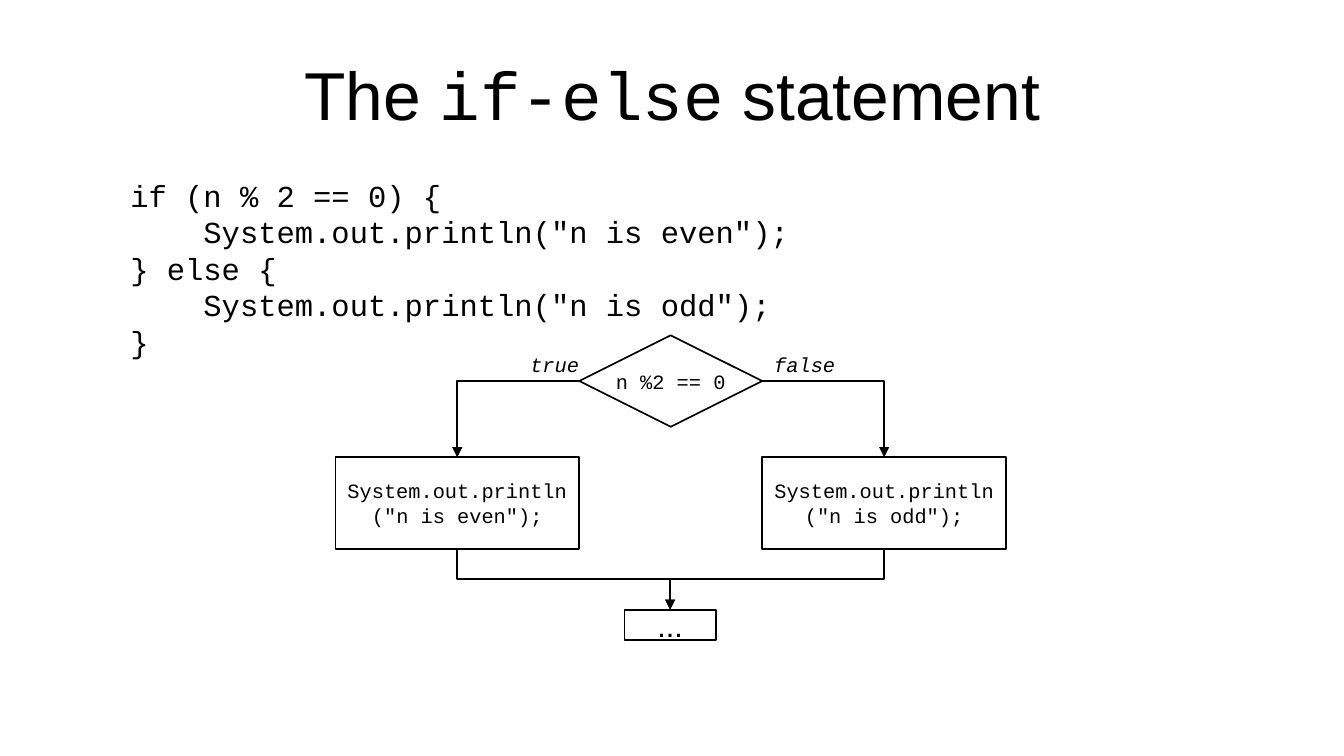
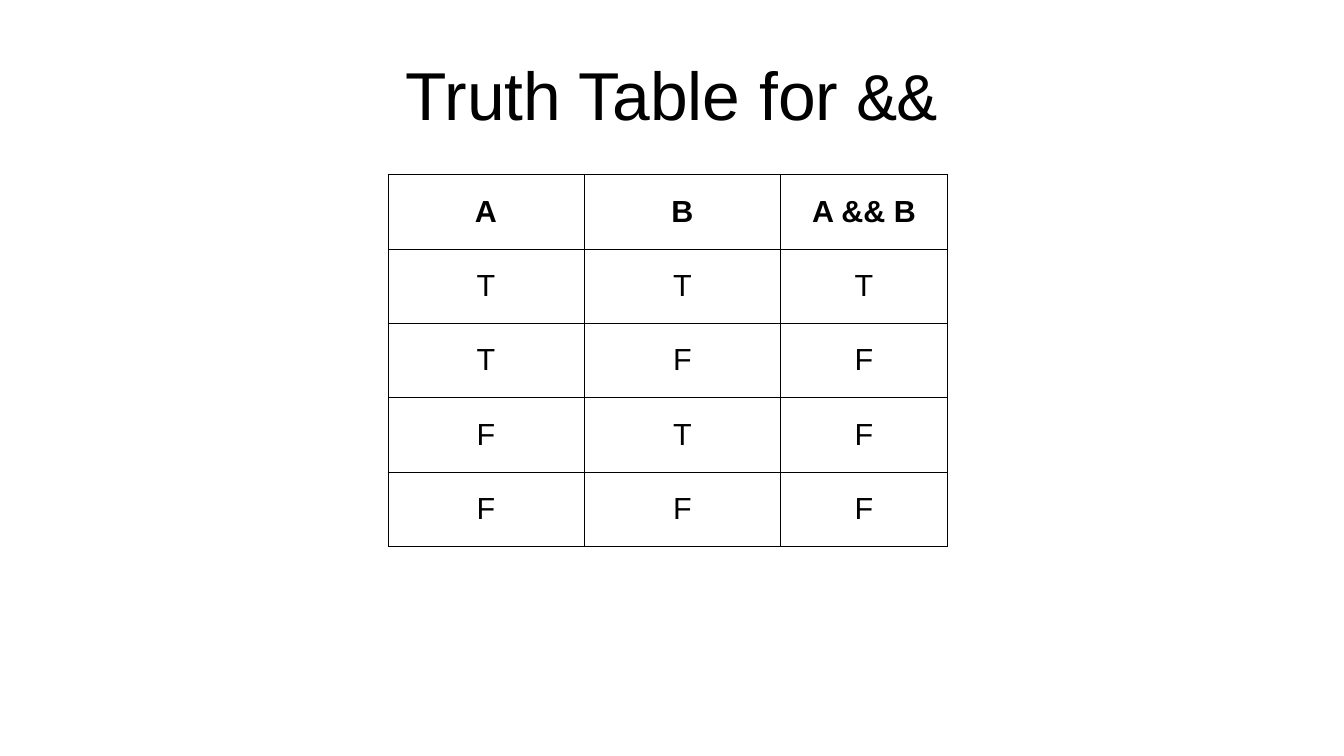
from dataclasses import dataclass

from lxml import etree
from pptx import Presentation
from pptx import util as u
from pptx.dml import color
from pptx.enum import shapes, text
from pptx.oxml import ns

PX = 9144  # EMU in one px, 100 px to the inch


@dataclass(frozen=True)
class Theme:
    ink: color.RGBColor = color.RGBColor(0x00, 0x00, 0x00)
    paper: color.RGBColor = color.RGBColor(0xFF, 0xFF, 0xFF)
    sans: str = "Arial"
    mono: str = "Courier New"
    title_size: float = 40
    body_size: float = 18
    small_size: float = 12
    line_width: float = 1
    grid_width: float = 0.06


THEME = Theme()
TOP, LEFT, BOTTOM, RIGHT = range(4)  # connection sites
CODE_INDENT = 60  # four characters of code

CODE = [
    (0, "if (n % 2 == 0) {"),
    (1, 'System.out.println("n is even");'),
    (0, "} else {"),
    (1, 'System.out.println("n is odd");'),
    (0, "}"),
]
TRUTH = [("A", "B", "A && B"), "TTT", "TFF", "FTF", "FFF"]


# Formatting helpers

def px(*lengths):
    return [u.Emu(length * PX) for length in lengths]


def apply(target, values):
    for name, value in values.items():
        setattr(target, name, value)


def format_font(font, size, name, **values):
    apply(font, {"size": u.Pt(size), "name": name, **values})
    font.color.rgb = THEME.ink


def format_frame(frame, margin_x, margin_y, **values):
    side, edge = px(margin_x, margin_y)
    apply(frame, {"margin_left": side, "margin_right": side,
                  "margin_top": edge, "margin_bottom": edge,
                  "word_wrap": False, **values})


def format_line(line):
    line.color.rgb = THEME.ink
    line.width = u.Pt(THEME.line_width)


def write(paragraph, words, size, name, align=text.PP_ALIGN.CENTER, **values):
    paragraph.text = words
    paragraph.alignment = align
    for run in paragraph.runs:
        format_font(run.font, size, name, **values)


# Elements

def add_titled_slide(deck, *parts):
    """Each part of the title is a pair of words and font name."""
    slide = deck.slides.add_slide(deck.slide_layouts[5])
    title = slide.shapes.title
    left, top, width, height = px(55, 25, 992, 104)
    apply(title, {"left": left, "top": top, "width": width, "height": height})
    format_frame(title.text_frame, 0, 0, word_wrap=True,
                 auto_size=text.MSO_AUTO_SIZE.NONE,
                 vertical_anchor=text.MSO_ANCHOR.MIDDLE)
    paragraph = title.text_frame.paragraphs[0]
    paragraph.alignment = text.PP_ALIGN.CENTER
    for words, name in parts:
        run = paragraph.add_run()
        run.text = words
        format_font(run.font, THEME.title_size, name)
    return slide


def add_text(slide, box, lines, size, **values):
    """Each line is a pair of indent level and words."""
    frame = slide.shapes.add_textbox(*px(*box)).text_frame
    format_frame(frame, 10, 5)
    for index, (level, words) in enumerate(lines):
        paragraph = frame.add_paragraph() if index else frame.paragraphs[0]
        write(paragraph, words, size, THEME.mono, text.PP_ALIGN.LEFT, **values)
        if level:
            indent, = px(level * CODE_INDENT)
            paragraph._p.get_or_add_pPr().set("marL", str(indent))


def add_node(slide, box, words, kind=shapes.MSO_SHAPE.RECTANGLE,
             size=THEME.small_size, name=THEME.mono):
    node = slide.shapes.add_shape(kind, *px(*box))
    node.shadow.inherit = False
    node.fill.solid()
    node.fill.fore_color.rgb = THEME.paper
    format_line(node.line)
    format_frame(node.text_frame, 11, 6,
                 vertical_anchor=text.MSO_ANCHOR.MIDDLE)
    write(node.text_frame.paragraphs[0], words, size, name)
    return node


def add_elbow(slide, start, start_site, end):
    """Arrow to the top of end; it leaves the start downwards or sideways."""
    arrow = slide.shapes.add_connector(shapes.MSO_CONNECTOR.ELBOW, 0, 0, 0, 0)
    arrow.begin_connect(start, start_site)
    arrow.end_connect(end, TOP)
    properties = arrow._element.spPr
    if start_site == BOTTOM:
        # A turned frame makes the first leg vertical
        rightward = arrow.end_x > arrow.begin_x
        width, height = arrow.width, arrow.height
        shift = (width - height) // 2
        apply(arrow, {"left": arrow.left + shift, "top": arrow.top - shift,
                      "width": height, "height": width})
        frame = properties.find(ns.qn("a:xfrm"))
        frame.set("rot", "16200000" if rightward else "5400000")
        frame.set("flipH", "1" if rightward else "0")
    else:
        properties.find(ns.qn("a:prstGeom")).set("prst", "bentConnector2")
    format_line(arrow.line)
    outline = properties.find(ns.qn("a:ln"))
    etree.SubElement(outline, ns.qn("a:tailEnd"), type="triangle")
    etree.SubElement(properties, ns.qn("a:effectLst"))


def add_cell_borders(cell):
    properties = cell._tc.get_or_add_tcPr()
    for side in ("lnL", "lnR", "lnT", "lnB"):
        border = etree.SubElement(properties, ns.qn(f"a:{side}"),
                                  w=str(u.Pt(THEME.grid_width)))
        fill = etree.SubElement(border, ns.qn("a:solidFill"))
        etree.SubElement(fill, ns.qn("a:srgbClr"), val=str(THEME.ink))


def add_grid(slide, left, top, widths, row_height, rows):
    box = px(left, top, sum(widths), row_height * len(rows))
    grid = slide.shapes.add_table(len(rows), len(widths), *box).table
    apply(grid, {"first_row": False, "horz_banding": False})
    for column, width in zip(grid.columns, px(*widths)):
        column.width = width
    for index, (row, values) in enumerate(zip(grid.rows, rows)):
        row.height, = px(row_height)
        for cell, value in zip(row.cells, values):
            add_cell_borders(cell)
            cell.fill.background()
            cell.vertical_anchor = text.MSO_ANCHOR.MIDDLE
            write(cell.text_frame.paragraphs[0], value, THEME.body_size,
                  THEME.sans, bold=index == 0)


# Slides

def build_if_else(deck):
    slide = add_titled_slide(deck, ("The ", THEME.sans),
                             ("if-else", THEME.mono),
                             (" statement", THEME.sans))
    add_text(slide, (97, 140, 560, 152), CODE, THEME.body_size)

    # Flowchart
    test = add_node(slide, (475, 275, 150, 75), "n %2 == 0",
                    shapes.MSO_SHAPE.DIAMOND)
    after = add_node(slide, (512, 500, 75, 25), "...",
                     size=THEME.body_size, name=THEME.sans)
    branches = [
        ("true", 425, 60, LEFT, 275, "even"),
        ("false", 625, 70, RIGHT, 625, "odd"),
    ]
    for answer, label_left, label_width, site, left, parity in branches:
        add_text(slide, (label_left, 284, label_width, 29), [(0, answer)],
                 THEME.small_size, italic=True)
        action = add_node(slide, (left, 375, 200, 75),
                          f'System.out.println\n("n is {parity}");')
        add_elbow(slide, test, site, action)
        add_elbow(slide, action, BOTTOM, after)


def build_truth_table(deck):
    slide = add_titled_slide(deck, ("Truth Table for ", THEME.sans),
                             ("&&", THEME.mono))
    add_grid(slide, 318, 143, (161, 161, 137), 61, TRUTH)


def main():
    deck = Presentation()
    deck.slide_width, deck.slide_height = px(1102, 620)
    build_if_else(deck)
    build_truth_table(deck)
    deck.save("out.pptx")


if __name__ == "__main__":
    main()
